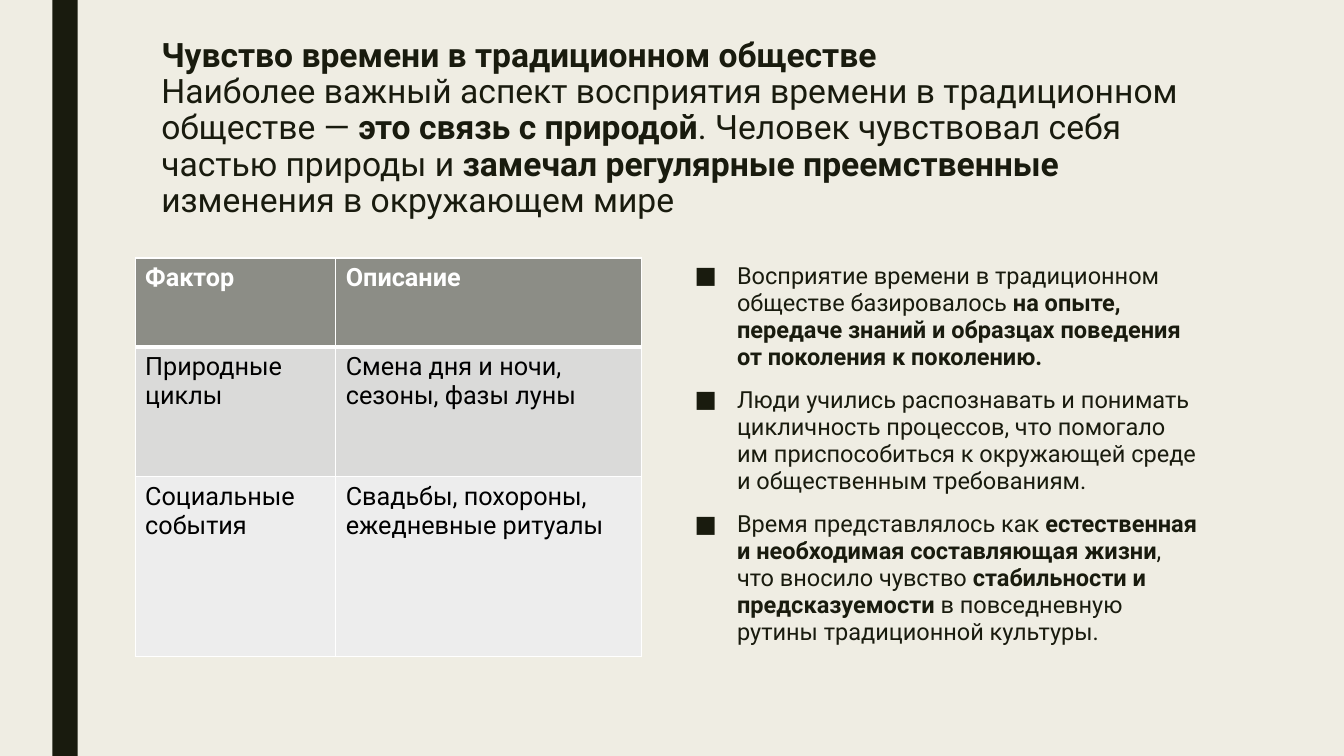
"""Build a slide about the sense of time in traditional society."""
from lxml.etree import SubElement
from pptx import Presentation
from pptx.dml.color import RGBColor
from pptx.enum.shapes import MSO_SHAPE
from pptx.enum.text import MSO_ANCHOR, MSO_AUTO_SIZE, PP_ALIGN
from pptx.oxml import parse_xml
from pptx.oxml.ns import nsdecls, qn
from pptx.util import Inches, Pt

TITLE = [
    ("Чувство времени в традиционном обществе", True),
    ("\n", False),
    ("Наиболее важный аспект восприятия времени в традиционном обществе — ", False),
    ("это связь с природой", True),
    (". Человек чувствовал себя частью природы и ", False),
    ("замечал регулярные преемственные ", True),
    ("изменения в окружающем мире", False),
]
POINTS = [
    [
        ("Восприятие времени в традиционном обществе базировалось ", False),
        ("на опыте, передаче знаний и образцах поведения от поколения к поколению.", True),
    ],
    [
        ("Люди учились распознавать и понимать цикличность процессов, что помогало им "
         "приспособиться к окружающей среде и общественным требованиям.", False),
    ],
    [
        ("Время представлялось как ", False),
        ("естественная и необходимая составляющая жизни", True),
        (", что вносило чувство ", False),
        ("стабильности и предсказуемости ", True),
        ("в повседневную рутины традиционной культуры.", False),
    ],
]
FACTORS = [
    ("Фактор", "Описание"),
    ("Природные циклы", "Смена дня и ночи, сезоны, фазы луны"),
    ("Социальные события", "Свадьбы, похороны, ежедневные ритуалы"),
]

FONT = "Roboto"
CREAM = RGBColor(0xEF, 0xED, 0xE3)
INK = RGBColor(0x19, 0x1B, 0x0E)
WHITE = RGBColor(0xFF, 0xFF, 0xFF)
BLACK = RGBColor(0, 0, 0)
ROW_FILLS = [RGBColor(0x8C, 0x8D, 0x86), RGBColor(0xDA, 0xDA, 0xD9), RGBColor(0xED, 0xED, 0xED)]

WIDTH, HEIGHT = 13.33, 7.5
CONTENT_TOP = 2.56
COLUMN_WIDTHS = [1.99, 3.03]
ROW_HEIGHTS = [0.88, 1.29, 1.78]
BULLET_INDENT = Inches(0.42)
THIN, THICK = Pt(0.96), Pt(3)


def write(para, spans, size, color=INK, spacing=1.0, before=0, after=0):
    """Fill a paragraph with (text, bold) spans; a newline span is a line break."""
    para.alignment = PP_ALIGN.LEFT
    para.line_spacing = spacing
    para.space_before, para.space_after = Pt(before), Pt(after)
    for text, bold in spans:
        if text == "\n":
            para.add_line_break()
            continue
        span = para.add_run()
        span.text = text
        span.font.name, span.font.size, span.font.bold = FONT, Pt(size), bold
        span.font.color.rgb = color


def place(box, left, top, width, height):
    """Move a placeholder and give it top-anchored, wrapped text of fixed size."""
    box.left, box.top, box.width, box.height = map(Inches, (left, top, width, height))
    frame = box.text_frame
    frame.auto_size = MSO_AUTO_SIZE.NONE
    frame.word_wrap = True
    frame.vertical_anchor = MSO_ANCHOR.TOP
    return frame


def add_bullet(para):
    """Give a paragraph a square bullet with a hanging indent."""
    properties = para._p.get_or_add_pPr()
    properties.set("marL", str(BULLET_INDENT))
    properties.set("indent", str(-BULLET_INDENT))
    color = SubElement(properties, qn("a:buClr"))
    SubElement(color, qn("a:srgbClr"), val=str(INK))
    SubElement(properties, qn("a:buFont"), typeface=FONT)
    SubElement(properties, qn("a:buChar"), char="■")


def add_borders(cell, top, bottom):
    """Draw white borders around a table cell."""
    properties = cell._tc.get_or_add_tcPr()
    sides = [("lnL", THIN), ("lnR", THIN), ("lnT", top), ("lnB", bottom)]
    for position, (side, width) in enumerate(sides):
        properties.insert(position, parse_xml(
            f'<a:{side} {nsdecls("a")} w="{width}"><a:solidFill>'
            f'<a:srgbClr val="{WHITE}"/></a:solidFill></a:{side}>'))


def add_factor_table(page):
    """Add the table of factors and descriptions."""
    table = page.shapes.add_table(
        len(FACTORS), len(COLUMN_WIDTHS), Inches(1.34), Inches(CONTENT_TOP),
        Inches(sum(COLUMN_WIDTHS)), Inches(sum(ROW_HEIGHTS))).table
    for column, width in zip(table.columns, COLUMN_WIDTHS):
        column.width = Inches(width)
    for index, (row, height, texts) in enumerate(zip(table.rows, ROW_HEIGHTS, FACTORS)):
        row.height = Inches(height)
        header = index == 0
        for cell, text in zip(row.cells, texts):
            cell.fill.solid()
            cell.fill.fore_color.rgb = ROW_FILLS[index]
            write(cell.text_frame.paragraphs[0], [(text, header)], 18, WHITE if header else BLACK)
            add_borders(cell, THICK if index == 1 else THIN, THICK if header else THIN)


def main():
    """Assemble and save the deck."""
    deck = Presentation()
    deck.slide_width, deck.slide_height = Inches(WIDTH), Inches(HEIGHT)
    page = deck.slides.add_slide(deck.slide_layouts[1])
    page.background.fill.solid()
    page.background.fill.fore_color.rgb = CREAM

    stripe = page.shapes.add_shape(
        MSO_SHAPE.RECTANGLE, Inches(0.52), 0, Inches(0.25), Inches(HEIGHT))
    stripe.shadow.inherit = False
    stripe.fill.solid()
    stripe.fill.fore_color.rgb = INK
    stripe.line.fill.background()

    title = place(page.shapes.title, 1.5, 0.33, 10.5, 1.62)
    write(title.paragraphs[0], TITLE, 24, spacing=0.9)

    body = place(page.placeholders[1], 6.79, CONTENT_TOP, 5.2, 3.86)
    for index, spans in enumerate(POINTS):
        para = body.add_paragraph() if index else body.paragraphs[0]
        add_bullet(para)
        write(para, spans, 16.8, spacing=0.95, before=10 if index else 0, after=2)

    add_factor_table(page)
    deck.save("out.pptx")


if __name__ == "__main__":
    main()
